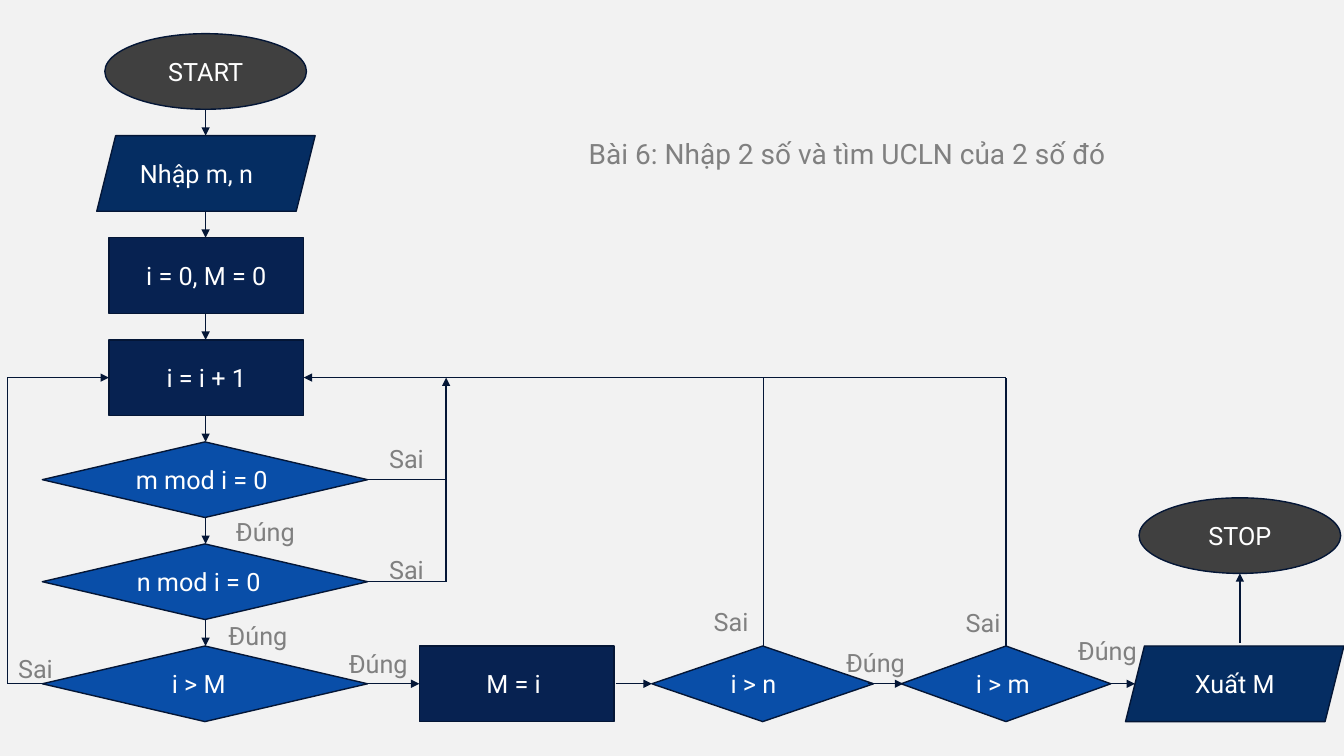
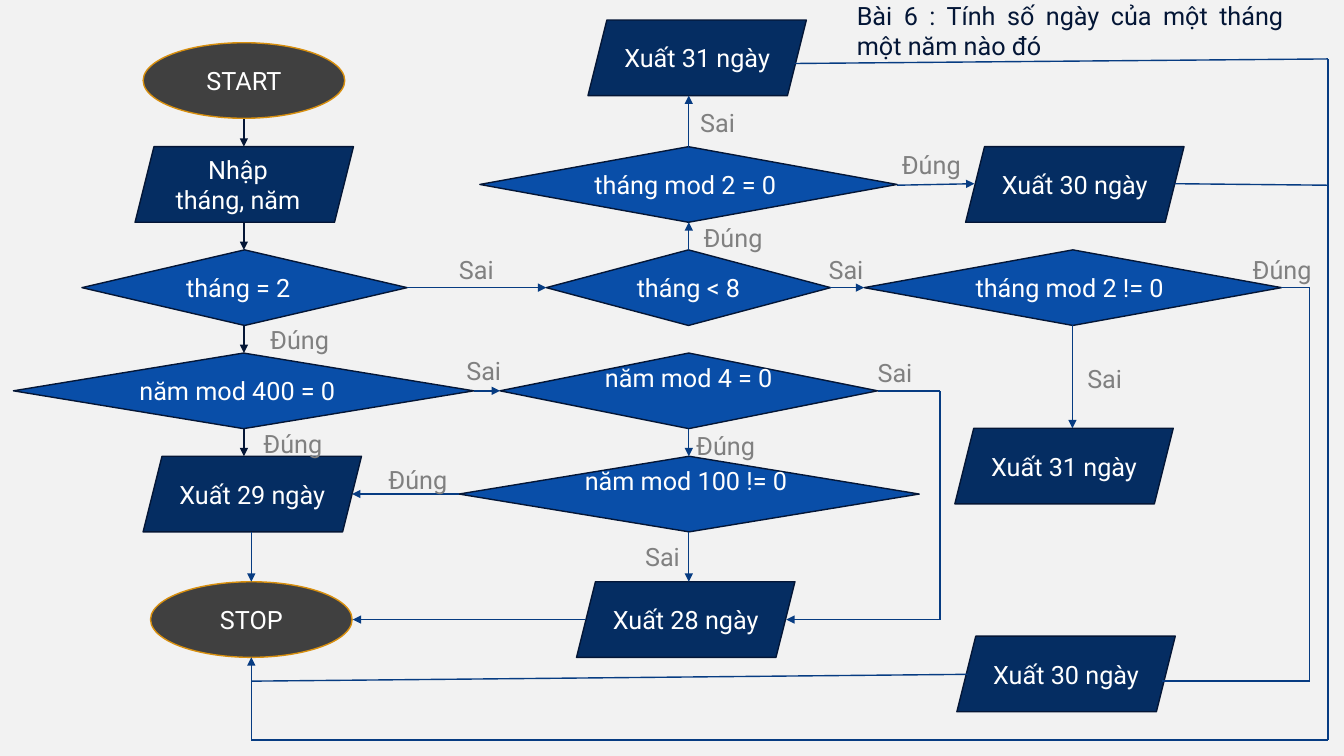
"""Build two flowchart slides laid out in shares of the slide's size."""
from dataclasses import dataclass
from itertools import pairwise

from lxml import etree
from pptx import Presentation
from pptx import slide as sld
from pptx.dml import color
from pptx.enum import shapes, text
from pptx.oxml import ns
from pptx.util import Emu, Inches, Pt

FONT = "Roboto"
PAPER, WHITE, GREY, INK = "F2F2F2", "FFFFFF", "808080", "041636"
BLUE, AMBER = "073C82", "D88F0E"
NODE_H = 10
SPACE = Pt(4.45)

KINDS = {
    "end": (shapes.MSO_SHAPE.OVAL, "404040", 15),
    "io": (shapes.MSO_SHAPE.PARALLELOGRAM, "052D62", 16.25),
    "step": (shapes.MSO_SHAPE.RECTANGLE, "072251", 14.5),
    "test": (shapes.MSO_SHAPE.DIAMOND, "094EA8", 24.2),
}
LABEL_W = {"Sai": 3.1, "Đúng": 4.9}

Point = tuple[float, float]


@dataclass
class Title:
    """Slide title with its box in percent of the slide."""
    words: str
    box: tuple[float, float, float, float]
    size: int
    ink: str
    align: text.PP_ALIGN


@dataclass
class Node:
    """Flowchart symbol; shift counts spaces to the left, lift is in points."""
    kind: str
    words: str
    x: float
    y: float
    w: float = 0
    shift: float = 0
    lift: float = 0


@dataclass
class Wire:
    """Path through points, with an arrowhead at its end if wanted."""
    points: list[Point]
    arrow: bool = True
    ink: str = INK


@dataclass
class Chart:
    """Everything that one flowchart slide holds."""
    title: Title
    end_line: str
    nodes: list[Node]
    wires: list[Wire]
    labels: dict[str, list[Point]]


prs = Presentation()
prs.slide_width, prs.slide_height = Inches(13.33), Inches(7.5)


def rgb(code: str) -> color.RGBColor:
    """Turn a hex string into a colour."""
    return color.RGBColor.from_string(code)


def px(share: float) -> Emu:
    """Give a percentage of the slide's width as a length."""
    return Emu(round(prs.slide_width * share / 100))


def py(share: float) -> Emu:
    """Give a percentage of the slide's height as a length."""
    return Emu(round(prs.slide_height * share / 100))


def write(tf, words: str, ink: str, size: float = 18,
          align: text.PP_ALIGN = text.PP_ALIGN.LEFT,
          anchor: text.MSO_ANCHOR = text.MSO_ANCHOR.TOP) -> None:
    """Fill a text frame, one paragraph for each line of words."""
    tf.word_wrap = True
    tf.auto_size = text.MSO_AUTO_SIZE.NONE
    tf.vertical_anchor = anchor
    tf.margin_left = tf.margin_right = tf.margin_top = tf.margin_bottom = 0
    for i, line in enumerate(words.split("\n")):
        p = tf.add_paragraph() if i else tf.paragraphs[0]
        p.alignment = align
        r = p.add_run()
        r.text = line
        r.font.name, r.font.size, r.font.bold = FONT, Pt(size), False
        r.font.color.rgb = rgb(ink)


def add_title(s: sld.Slide, title: Title) -> None:
    """Move and format the title placeholder."""
    sp = s.shapes.title
    x, y, w, h = title.box
    sp.left, sp.top, sp.width, sp.height = px(x), py(y), px(w), py(h)
    write(sp.text_frame, title.words, title.ink, title.size, title.align)


def add_node(s: sld.Slide, node: Node, end_line: str) -> None:
    """Draw one symbol with its centred words."""
    preset, fill, width = KINDS[node.kind]
    sp = s.shapes.add_shape(preset, px(node.x), py(node.y),
                            px(node.w or width), py(NODE_H))
    sp.shadow.inherit = False
    sp.fill.solid()
    sp.fill.fore_color.rgb = rgb(fill)
    sp.line.color.rgb = rgb(end_line if node.kind == "end" else INK)
    sp.line.width = Pt(1)
    tf = sp.text_frame
    write(tf, node.words, WHITE, align=text.PP_ALIGN.CENTER,
          anchor=text.MSO_ANCHOR.MIDDLE)
    tf.margin_right = Emu(round(node.shift * SPACE))
    tf.margin_bottom = Pt(2 * node.lift)


def add_wire(s: sld.Slide, wire: Wire) -> None:
    """Draw a path as straight connectors."""
    for (x1, y1), (x2, y2) in pairwise(wire.points):
        sp = s.shapes.add_connector(shapes.MSO_CONNECTOR.STRAIGHT,
                                    px(x1), py(y1), px(x2), py(y2))
        sp.line.color.rgb = rgb(wire.ink)
        sp.line.width = Pt(1)
        etree.SubElement(sp.element.spPr, ns.qn("a:effectLst"))
    if wire.arrow:
        ln = sp.line._get_or_add_ln()
        etree.SubElement(ln, ns.qn("a:tailEnd"), type="triangle")


def add_label(s: sld.Slide, words: str, at: Point) -> None:
    """Write a branch label."""
    sp = s.shapes.add_textbox(px(at[0]), py(at[1]), px(LABEL_W[words]), py(4))
    write(sp.text_frame, words, GREY)


def add_chart_slide(chart: Chart) -> None:
    """Add a slide with a whole flowchart."""
    s = prs.slides.add_slide(prs.slide_layouts.get_by_name("Title Only"))
    add_title(s, chart.title)
    for node in chart.nodes:
        add_node(s, node, chart.end_line)
    for wire in chart.wires:
        add_wire(s, wire)
    for words, places in chart.labels.items():
        for at in places:
            add_label(s, words, at)


def rows(top: float, step: float, count: int) -> list[float]:
    """Give the tops of evenly spaced rows."""
    return [top + step * i for i in range(count)]


def column(x: float, tops: list[float]) -> list[Wire]:
    """Join stacked symbols by short arrows."""
    return [Wire([(x, a + NODE_H), (x, b)]) for a, b in pairwise(tops)]


def gcd_chart() -> Chart:
    """Describe the flowchart for the greatest common divisor."""
    y = rows(4.45, 13.5, 7)
    loop, m_mid, n_mid, base = (top + NODE_H / 2 for top in y[3:])
    bus, stop = 33.2, 65.85
    nodes = [
        Node("end", "START", 7.8, y[0]),
        Node("io", "Nhập m, n", 7.2, y[1], shift=3),
        Node("step", "i = 0, M = 0", 8.1, y[2]),
        Node("step", "i = i + 1", 8.1, y[3]),
        Node("test", "m mod i = 0", 3.15, y[4], shift=1),
        Node("test", "n mod i = 0", 3.15, y[5], shift=2),
        Node("test", "i > M", 3.15, y[6], shift=2),
        Node("step", "M = i", 31.2, y[6], shift=1),
        Node("test", "i > n", 48.5, y[6], 16.5, shift=3),
        Node("test", "i > m", 67.05, y[6], 15.6, shift=1),
        Node("io", "Xuất M", 83.75, y[6]),
        Node("end", "STOP", 84.75, stop),
    ]
    steps = [(27.4, 31.2), (45.8, 48.5), (64.55, 67.2), (82.65, 84.45)]
    wires = column(15.3, y) + [Wire([(a, base), (b, base)]) for a, b in steps]
    wires += [
        Wire([(92.25, 85), (92.25, stop + NODE_H)]),
        Wire([(56.8, y[6]), (56.8, loop)], arrow=False),
        Wire([(74.85, y[6]), (74.85, loop), (22.6, loop)]),
        Wire([(27.4, m_mid), (bus, m_mid)], arrow=False),
        Wire([(27.4, n_mid), (bus, n_mid), (bus, loop)]),
        Wire([(3.15, base), (0.55, base), (0.55, loop), (8.1, loop)]),
    ]
    labels = {
        "Sai": [(28.95, 58.65), (28.95, 73.35), (53.1, 80.15), (71.85, 80.4),
                (1.35, 86.4)],
        "Đúng": [(17.55, 68.25), (17, 82), (25.95, 85.75), (62.95, 85.6),
                 (80.2, 84)],
    }
    title = Title("Bài 6: Nhập 2 số và tìm UCLN của 2 số đó",
                  (43.8, 18, 40, 4.6), 20, GREY, text.PP_ALIGN.LEFT)
    return Chart(title, INK, nodes, wires, labels)


def month_chart() -> Chart:
    """Describe the flowchart for the number of days in a month."""
    y = rows(5.75, 13.65, 5)
    month, year, leap = (top + NODE_H / 2 for top in y[2:])
    last, late, mid = 76.95, 84.15, 51.25
    out = last + NODE_H / 2
    right, edge, stop, floor = 97.45, 98.8, 18.7, 97.9
    nodes = [
        Node("end", "START", 10.65, y[0] - 0.1),
        Node("io", "Nhập\ntháng, năm", 10.05, y[1], shift=2),
        Node("test", "tháng = 2", 6.1, y[2], shift=2),
        Node("test", "năm mod 400 = 0", 1, y[3], 34.25, shift=2),
        Node("io", "Xuất 29 ngày", 10.65, y[4]),
        Node("test", "năm mod 4 = 0", 37.2, y[3], 28.1, lift=9.5),
        Node("test", "năm mod 100 != 0", 34.15, y[4], 34.25, 1, 9.5),
        Node("io", "Xuất 28 ngày", 42.9, last),
        Node("end", "STOP", 11.2, last),
        Node("test", "tháng < 8", 40.65, y[2], 21.15),
        Node("test", "tháng mod 2 = 0", 35.7, y[1], 31.05, shift=1),
        Node("io", "Xuất 30 ngày", 71.85, y[1]),
        Node("io", "Xuất 31 ngày", 43.75, 2.65),
        Node("test", "tháng mod 2 != 0", 64.3, y[2], 31.05, shift=1),
        Node("io", "Xuất 31 ngày", 71.05, 56.65),
        Node("io", "Xuất 30 ngày", 71.2, late),
    ]
    arrows = [
        [(34.15, leap), (26.2, leap)],
        [(mid, y[4] + NODE_H), (mid, last)],
        [(43.6, out), (26.25, out)],
        [(stop, y[4] + NODE_H), (stop, last)],
        [(35.3, year), (37.2, year)],
        [(30.3, month), (40.65, month)],
        [(mid, y[2]), (mid, y[1] + NODE_H)],
        [(mid, y[1]), (mid, 12.65)],
        [(61.75, month), (64.3, month)],
        [(mid, y[3] + NODE_H), (mid, y[4])],
        [(66.75, 24.5), (72.5, 24.3)],
        [(79.8, y[2] + NODE_H), (79.8, 56.65)],
        [(65.3, year), (69.95, year), (69.95, out), (58.5, out)],
        [(59.1, 8.4), (edge, 7.8), (edge, floor), (stop, floor),
         (stop, last + NODE_H)],
    ]
    plain = [
        [(87.4, 24.3), (edge, 24.5)],
        [(95.3, month), (right, month), (right, 90.1), (86.45, 90.1)],
        [(72, 89.2), (stop, 90.1)],
    ]
    wires = column(18.15, y) + [Wire(pts, True, BLUE) for pts in arrows]
    wires += [Wire(pts, False, BLUE) for pts in plain]
    labels = {
        "Sai": [(34.15, 33.6), (48, 71.6), (34.7, 46.95), (52.1, 14.15),
                (80.9, 48), (61.65, 33.6), (65.3, 47.2)],
        "Đúng": [(28.9, 61.45), (52.35, 29.45), (67.1, 19.75), (93.2, 33.6),
                 (51.8, 56.95), (20.1, 42.95), (19.6, 56.65)],
    }
    title = Title("Bài 6 : Tính số ngày của một tháng một năm nào đó",
                  (63.75, 0, 31.75, 8.1), 18, INK, text.PP_ALIGN.JUSTIFY)
    return Chart(title, AMBER, nodes, wires, labels)


back = prs.slide_master.background.fill
back.solid()
back.fore_color.rgb = rgb(PAPER)
for flowchart in (gcd_chart(), month_chart()):
    add_chart_slide(flowchart)
prs.save("out.pptx")
